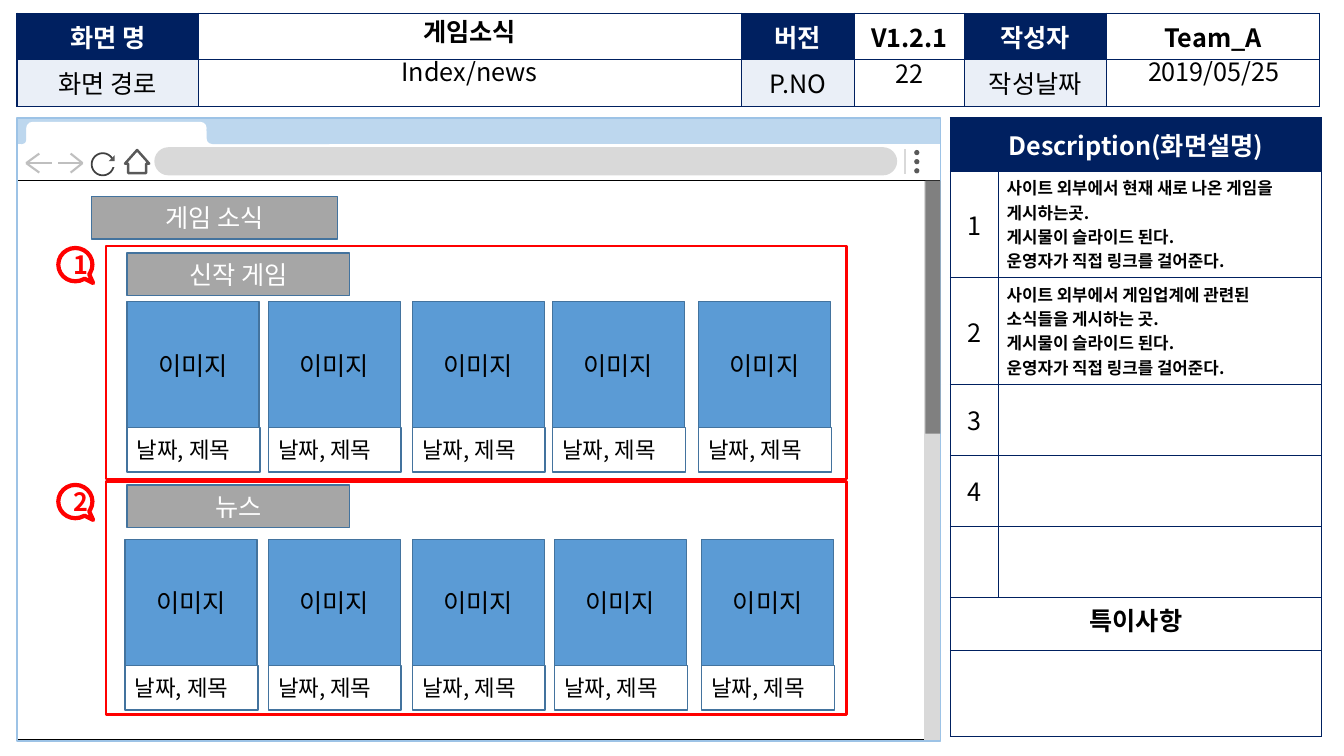
from lxml import etree
from pptx import Presentation
from pptx.dml.color import RGBColor
from pptx.enum.shapes import MSO_CONNECTOR, MSO_SHAPE as Preset
from pptx.enum.text import MSO_ANCHOR as Anchor, MSO_AUTO_SIZE as AutoSize, PP_ALIGN as Align
from pptx.oxml.ns import qn
from pptx.util import Cm, Pt

FONT = "Noto Sans CJK KR"
BLACK = RGBColor(0x00, 0x00, 0x00)
WHITE = RGBColor(0xFF, 0xFF, 0xFF)
NAVY = RGBColor(0x00, 0x20, 0x60)
PALE = RGBColor(0xEA, 0xEF, 0xF7)
TAB_BLUE = RGBColor(0xBD, 0xD7, 0xEE)
WINDOW_BLUE = RGBColor(0x9D, 0xC3, 0xE6)
IMAGE_BLUE = RGBColor(0x5B, 0x9B, 0xD5)
EDGE_BLUE = RGBColor(0x43, 0x73, 0x9E)
RED = RGBColor(0xFF, 0x00, 0x00)
LIGHT_GRAY = RGBColor(0xD9, 0xD9, 0xD9)
ARROW_GRAY = RGBColor(0xBF, 0xBF, 0xBF)
LABEL_GRAY = RGBColor(0xA6, 0xA6, 0xA6)
THUMB_GRAY = RGBColor(0x80, 0x80, 0x80)
ICON_GRAY = RGBColor(0x59, 0x59, 0x59)
REFRESH_GRAY = RGBColor(0x40, 0x40, 0x40)

HEADER_COLUMNS = (4.57, 13.69, 2.84, 2.77, 3.58, 5.38)
HEADER_ROWS = (("화면 명", "", "버전", "V1.2.1", "작성자", "Team_A"),
               ("화면 경로", "", "P.NO", "", "작성날짜", ""))
DESCRIPTION_ROWS = (1.35, 2.68, 2.68, 1.79, 1.79, 1.79, 1.35, 2.16)
DESCRIPTIONS = (
    ("1", "사이트 외부에서 현재 새로 나온 게임을 게시하는곳.\n게시물이 슬라이드 된다.\n운영자가 직접 링크를 걸어준다."),
    ("2", "사이트 외부에서 게임업계에 관련된 소식들을 게시하는 곳.\n게시물이 슬라이드 된다.\n운영자가 직접 링크를 걸어준다."),
    ("3", ""), ("4", ""), ("", ""))


def write(frame, text, size=18, color=BLACK, bold=False, align=Align.CENTER):
    paragraph = frame.paragraphs[0]
    paragraph.alignment = align
    for number, line in enumerate(text.split("\n")):
        if number:
            paragraph.add_line_break()
        run = paragraph.add_run()
        run.text = line
        font = run.font
        font.name, font.size, font.bold = FONT, Pt(size), bold
        font.color.rgb = color
        east_asian = etree.SubElement(run._r.get_or_add_rPr(), qn("a:ea"))
        east_asian.set("typeface", FONT)
    return paragraph


def add_box(shapes, box, fill=None, line=None, width=1, preset=Preset.RECTANGLE, adjust=()):
    shape = shapes.add_shape(preset, *map(Cm, box))
    shape.shadow.inherit = False
    if fill is None:
        shape.fill.background()
    else:
        shape.fill.solid()
        shape.fill.fore_color.rgb = fill
    if line is None:
        shape.line.fill.background()
    else:
        shape.line.color.rgb = line
        shape.line.width = Pt(width)
    for index, value in enumerate(adjust):
        shape.adjustments[index] = value
    shape.text_frame.vertical_anchor = Anchor.MIDDLE
    return shape


def add_line(shapes, start, end, color, width):
    line = shapes.add_connector(MSO_CONNECTOR.STRAIGHT, *map(Cm, start + end))
    line.line.color.rgb = color
    line.line.width = Pt(width)
    etree.SubElement(line._element.spPr, qn("a:effectLst"))


def fill_placeholder(placeholder, box, text, bold=False):
    placeholder.left, placeholder.top, placeholder.width, placeholder.height = map(Cm, box)
    frame = placeholder.text_frame
    frame.auto_size = AutoSize.NONE
    frame.word_wrap = True
    frame.vertical_anchor = Anchor.TOP
    paragraph = write(frame, text, bold=bold)
    paragraph.line_spacing = 0.9
    paragraph.space_before = Pt(10)
    properties = paragraph._p.get_or_add_pPr()
    properties.set("marL", "0")
    properties.set("indent", "0")
    etree.SubElement(properties, qn("a:buNone"))


def format_cell(cell, fill=None):
    properties = cell._tc.get_or_add_tcPr()
    for index, side in enumerate(("lnL", "lnR", "lnT", "lnB")):
        border = etree.Element(qn(f"a:{side}"), w=str(Pt(1)))
        solid = etree.SubElement(border, qn("a:solidFill"))
        etree.SubElement(solid, qn("a:srgbClr"), val=str(NAVY))
        properties.insert(index, border)
    if fill is None:
        cell.fill.background()
    else:
        cell.fill.solid()
        cell.fill.fore_color.rgb = fill


def add_grid(shapes, left, top, columns, rows):
    table = shapes.add_table(len(rows), len(columns), Cm(left), Cm(top),
                             Cm(sum(columns)), Cm(sum(rows))).table
    for column, width in zip(table.columns, columns):
        column.width = Cm(width)
    for row, height in zip(table.rows, rows):
        row.height = Cm(height)
    return table


def add_header(shapes):
    table = add_grid(shapes, 0.43, 0.33, HEADER_COLUMNS, (1.17, 1.17))
    for r, texts in enumerate(HEADER_ROWS):
        for c, text in enumerate(texts):
            cell = table.cell(r, c)
            is_label = c % 2 == 0
            format_cell(cell, (NAVY, PALE)[r] if is_label else None)
            if text:
                write(cell.text_frame, text, bold=r == 0,
                      color=WHITE if is_label and r == 0 else BLACK)


def add_descriptions(shapes):
    table = add_grid(shapes, 23.95, 2.97, (1.22, 8.13), DESCRIPTION_ROWS)
    for cell in table.iter_cells():
        format_cell(cell)
        cell.margin_left = cell.margin_right = Cm(0.2)
        cell.margin_top = cell.margin_bottom = Cm(0.1)
    for r in (0, 6, 7):
        table.cell(r, 0).merge(table.cell(r, 1))
    heading = table.cell(0, 0)
    heading.fill.solid()
    heading.fill.fore_color.rgb = NAVY
    heading.vertical_anchor = Anchor.MIDDLE
    write(heading.text_frame, "Description(화면설명)", color=WHITE, bold=True)
    for r, (number, description) in enumerate(DESCRIPTIONS, 1):
        if number:
            table.cell(r, 0).vertical_anchor = Anchor.MIDDLE
            write(table.cell(r, 0).text_frame, number)
        if description:
            write(table.cell(r, 1).text_frame, description, 12, bold=True, align=Align.LEFT)
    write(table.cell(6, 0).text_frame, "특이사항", bold=True)


def add_browser(shapes):
    rounded = Preset.ROUNDED_RECTANGLE
    # Page, scroll bar and toolbar
    add_box(shapes, (0.41, 4.52, 23.27, 14.12), WHITE, BLACK, 0.5)
    add_box(shapes, (23.29, 4.55, 0.41, 14.1), LIGHT_GRAY)
    add_box(shapes, (0.43, 3.61, 23.27, 0.94), WHITE, BLACK, 0.5)
    add_box(shapes, (3.89, 3.71, 18.72, 0.71), LIGHT_GRAY, preset=rounded, adjust=(0.5,))
    for dot in range(3):
        add_box(shapes, (23.04, 3.78 + dot * 0.23, 0.13, 0.13), ICON_GRAY, preset=Preset.OVAL)
    add_line(shapes, (22.81, 3.76), (22.81, 4.39), LIGHT_GRAY, 1)
    # Back and forward arrows
    for tip, barb, tail in ((0.66, 0.99, 1.3), (2.08, 1.78, 1.45)):
        for end in ((tail, 4.11), (barb, 3.87), (barb, 4.35)):
            add_line(shapes, (tip, 4.11), end, ARROW_GRAY, 1.5)
    # Refresh and home icons
    add_box(shapes, (2.31, 3.86, 0.56, 0.56), None, REFRESH_GRAY, 1.25, Preset.OVAL)
    add_box(shapes, (2.77, 4.01, 0.2, 0.2), WHITE)
    add_box(shapes, (2.74, 3.91, 0.15, 0.15), ICON_GRAY,
            preset=Preset.ISOSCELES_TRIANGLE, adjust=(1,))
    home = add_box(shapes, (3.15, 3.78, 0.61, 0.58), WHITE, ICON_GRAY, 1.75,
                   Preset.DOWN_ARROW, (0.75, 0.59))
    home.rotation = 180
    # Tab strip: the tab, its feet and the curves that cover them
    add_box(shapes, (0.43, 2.97, 23.27, 0.66), TAB_BLUE)
    for box, fill, radius in (((0.66, 3.07, 4.55, 0.58), WHITE, 0.28),
                              ((4.78, 3.3, 0.86, 0.38), WHITE, 0.17),
                              ((5.21, 3.12, 3.23, 0.51), TAB_BLUE, 0.28),
                              ((0.53, 3.3, 0.33, 0.38), WHITE, 0.17),
                              ((0.43, 3.12, 0.23, 0.51), TAB_BLUE, 0.46)):
        add_box(shapes, box, fill, preset=rounded, adjust=(radius,))
    add_box(shapes, (0.43, 2.97, 23.27, 15.7), None, WINDOW_BLUE)
    add_box(shapes, (23.32, 4.55, 0.38, 6.38), THUMB_GRAY)


def add_label(shapes, box, text):
    label = add_box(shapes, box, LABEL_GRAY, EDGE_BLUE)
    write(label.text_frame, text, color=WHITE)


def add_card(shapes, left, top):
    card = shapes.add_group_shape().shapes
    image = add_box(card, (left, top, 3.33, 3.2), IMAGE_BLUE, EDGE_BLUE)
    write(image.text_frame, "이미지")
    caption = add_box(card, (left, top + 3.18, 3.35, 1.12), WHITE, EDGE_BLUE)
    write(caption.text_frame, "날짜, 제목", 16, align=Align.LEFT)


def add_section(shapes, number, title, frame_top, label_top, marker_top, cards_top, card_lefts):
    add_label(shapes, (3.2, label_top, 5.61, 1.07), title)
    for left in card_lefts:
        add_card(shapes, left, cards_top)
    add_box(shapes, (2.67, frame_top, 18.67, 5.87), None, RED, 2)
    marker = add_box(shapes, (1.47, marker_top, 0.86, 0.84), None, RED, 3,
                     Preset.OVAL_CALLOUT, (0.52, 0.55))
    write(marker.text_frame, number, color=RED, bold=True)


def main():
    deck = Presentation()
    deck.slide_width, deck.slide_height = Cm(33.87), Cm(19.05)
    slide = deck.slides.add_slide(deck.slide_layouts[3])
    shapes = slide.shapes

    # Screen name, path and date
    fill_placeholder(shapes.title, (5, 0.36, 13.67, 0.97), "게임소식", bold=True)
    fill_placeholder(slide.placeholders[1], (5, 1.37, 13.67, 0.97), "Index/news")
    fill_placeholder(slide.placeholders[2], (27.91, 1.37, 5.36, 0.97), "2019/05/25")
    add_header(shapes)
    page_number = shapes.add_textbox(Cm(21.54), Cm(1.37), Cm(2.74), Cm(0.97)).text_frame
    page_number.word_wrap = True
    page_number.vertical_anchor = Anchor.MIDDLE
    write(page_number, "22")

    # Browser mock-up and its two sections
    add_browser(shapes)
    add_label(shapes, (2.31, 4.95, 6.2, 1.07), "게임 소식")
    add_section(shapes, "1", "신작 게임", 6.2, 6.38, 6.25, 7.6, (3.2, 6.76, 10.39, 13.92, 17.6))
    add_section(shapes, "2", "뉴스", 12.14, 12.22, 12.22, 13.59, (3.15, 6.76, 10.39, 13.97, 17.68))

    add_descriptions(shapes)
    deck.save("out.pptx")


if __name__ == "__main__":
    main()
